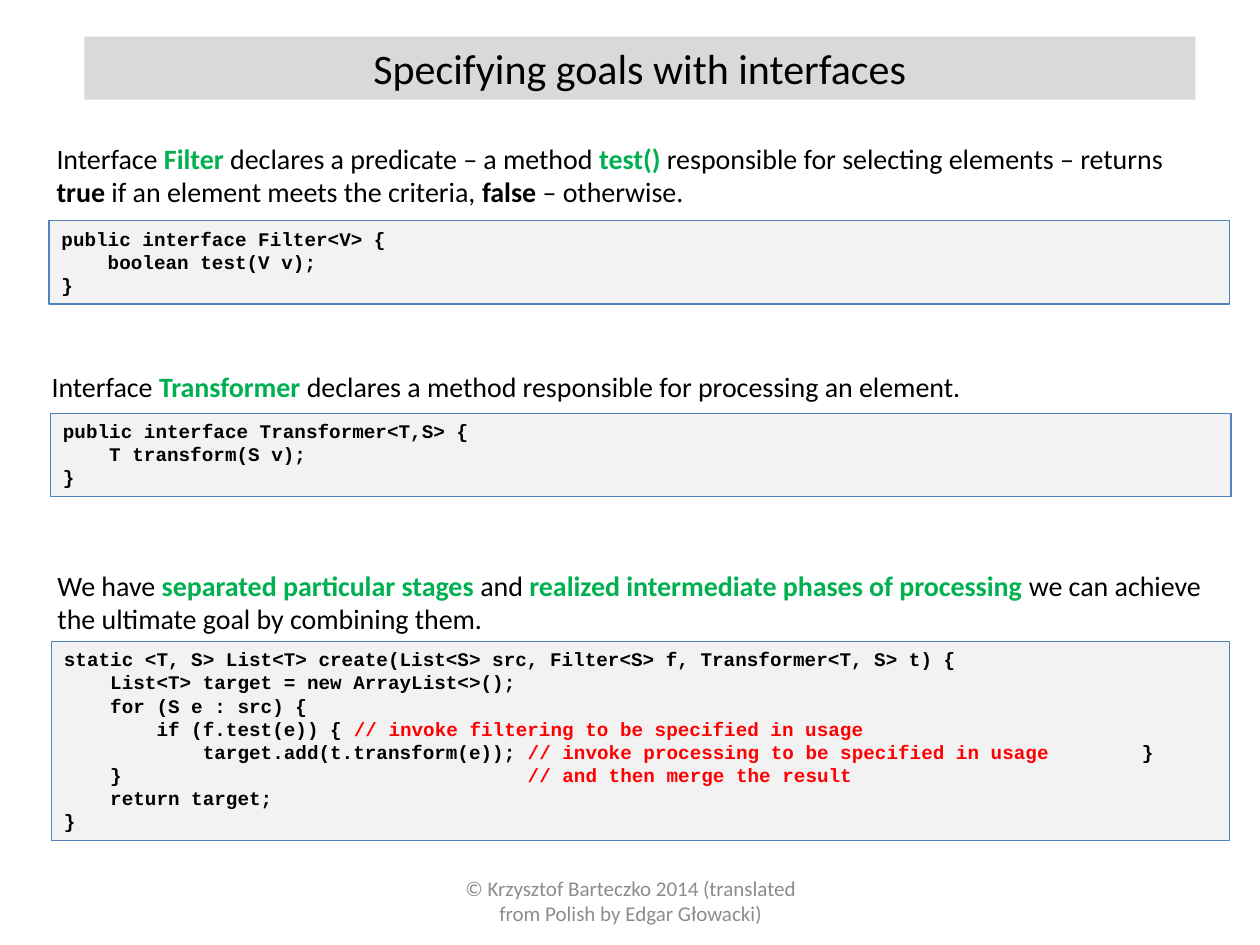
from pptx import Presentation
from pptx.dml.color import RGBColor
from pptx.enum.shapes import MSO_SHAPE
from pptx.enum.text import MSO_ANCHOR, PP_ALIGN
from pptx.util import Cm, Pt

COLORS = {
    "text": "000000",
    "keyword": "00B050",
    "comment": "FF0000",
    "footer": "8C8C8C",
    "title_fill": "D9D9D9",
    "code_fill": "F2F2F2",
    "code_line": "4F81BD",
}

TITLE = "Specifying goals with interfaces"
FOOTER = "© Krzysztof Barteczko 2014 (translated from Polish by Edgar Głowacki)"

EXPLANATIONS = [
    ((0.89, 2.72, 23.8, 1.63), [
        "Interface ", ("Filter", "keyword"), " declares a predicate – a method ",
        ("test()", "keyword"), " responsible for selecting elements – returns ",
        ("true", "text"), " if an element meets the criteria, ",
        ("false", "text"), " – otherwise.",
    ]),
    ((0.79, 7.32, 23.8, 0.94), [
        "Interface ", ("Transformer", "keyword"),
        " declares a method responsible for processing an element.",
    ]),
    ((0.91, 11.33, 23.8, 1.63), [
        "We have ", ("separated particular stages", "keyword"), " and ",
        ("realized intermediate phases of processing", "keyword"),
        " we can achieve the ultimate goal by combining them.",
    ]),
]

LISTINGS = [
    ((0.99, 4.45, 23.8, 1.68), [
        ["public interface Filter<V> {"],
        ["    boolean test(V v);"],
        ["}"],
    ]),
    ((1.02, 8.33, 23.8, 1.68), [
        ["public interface Transformer<T,S> {"],
        ["    T transform(S v);"],
        ["}"],
    ]),
    ((1.04, 12.93, 23.75, 4.01), [
        ["static <T, S> List<T> create(List<S> src, Filter<S> f, Transformer<T, S> t) {"],
        ["    List<T> target = new ArrayList<>();"],
        ["    for (S e : src) {"],
        ["        if (f.test(e)) { ",
         ("// invoke filtering to be specified in usage", "comment")],
        ["            target.add(t.transform(e)); ",
         ("// invoke processing to be specified in usage", "comment"), "        }"],
        ["    }                                   ",
         ("// and then merge the result", "comment")],
        ["    return target;"],
        ["}"],
    ]),
]


def rgb(name):
    return RGBColor.from_string(COLORS[name])


def write_text(shape, lines, size=16, font="Calibri", color="text", bold=False,
               align=PP_ALIGN.LEFT, anchor=MSO_ANCHOR.TOP):
    frame = shape.text_frame
    frame.word_wrap = True
    frame.vertical_anchor = anchor
    for index, line in enumerate(lines):
        paragraph = frame.add_paragraph() if index else frame.paragraphs[0]
        paragraph.alignment = align
        for part in line:
            highlighted = isinstance(part, tuple)
            text, run_color = part if highlighted else (part, color)
            run = paragraph.add_run()
            run.text = text
            run.font.name = font
            run.font.size = Pt(size)
            run.font.bold = bold or highlighted
            run.font.color.rgb = rgb(run_color)


def add_text_box(slide, box, lines, **text_format):
    shape = slide.shapes.add_textbox(*map(Cm, box))
    write_text(shape, lines, **text_format)


def add_panel(slide, box, lines, fill, line=None, **text_format):
    shape = slide.shapes.add_shape(MSO_SHAPE.RECTANGLE, *map(Cm, box))
    shape.shadow.inherit = False
    shape.fill.solid()
    shape.fill.fore_color.rgb = rgb(fill)
    if line:
        shape.line.color.rgb = rgb(line)
        shape.line.width = Pt(0.75)
    else:
        shape.line.fill.background()
    write_text(shape, lines, **text_format)


def main():
    presentation = Presentation()
    presentation.slide_width = Cm(25.4)
    presentation.slide_height = Cm(19.05)
    slide = presentation.slides.add_slide(presentation.slide_layouts[6])

    add_panel(slide, (1.7, 0.74, 22.4, 1.27), [[TITLE]], "title_fill",
              size=24, align=PP_ALIGN.CENTER)
    for box, line in EXPLANATIONS:
        add_text_box(slide, box, [line])
    for box, lines in LISTINGS:
        add_panel(slide, box, lines, "code_fill", "code_line",
                  size=11, font="Courier New", bold=True)
    add_text_box(slide, (8.69, 17.65, 8.05, 1.02), [[FOOTER]], size=12,
                 color="footer", align=PP_ALIGN.CENTER, anchor=MSO_ANCHOR.MIDDLE)

    presentation.save("out.pptx")


if __name__ == "__main__":
    main()
